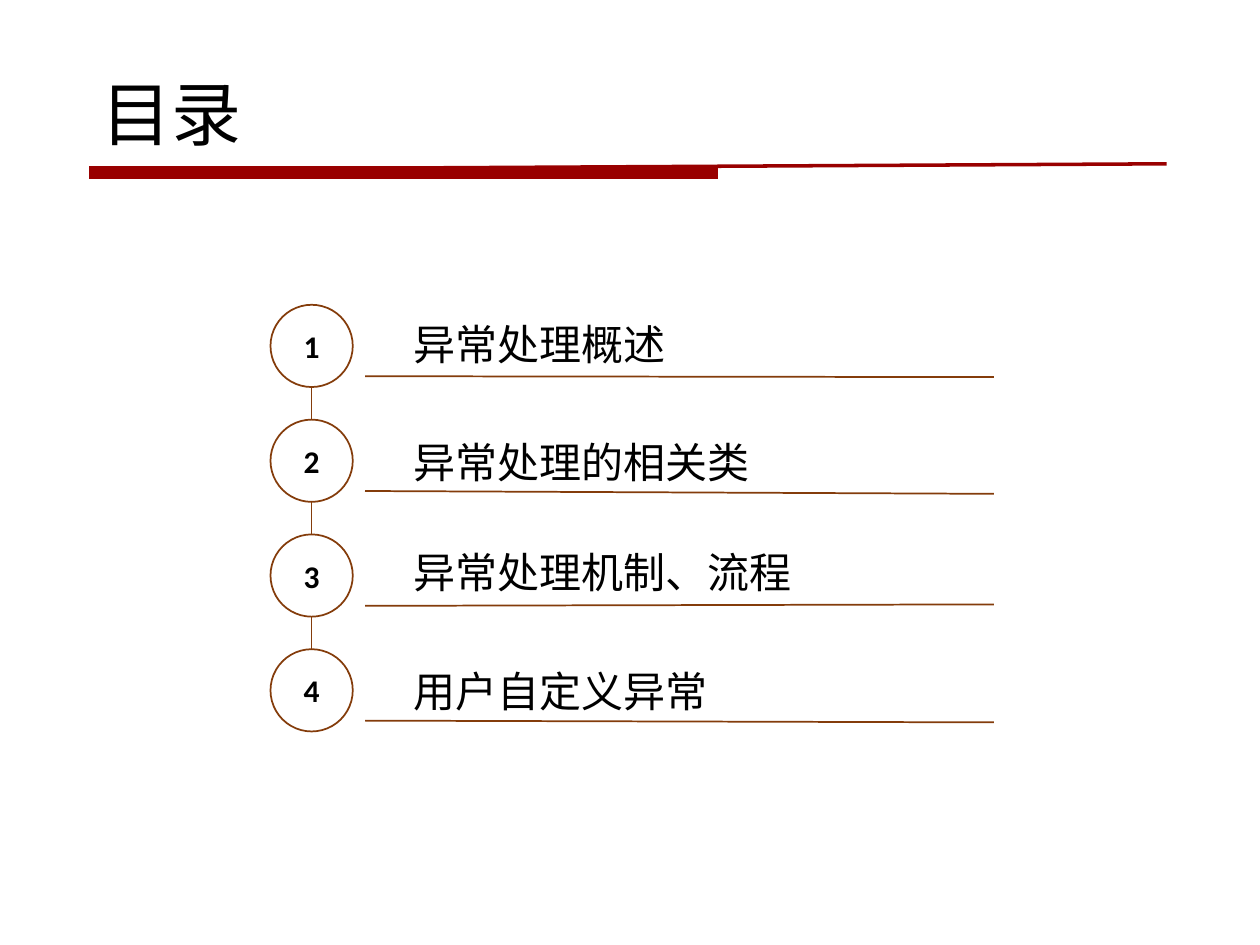
from lxml import etree
from pptx import Presentation
from pptx.dml.color import RGBColor
from pptx.enum.shapes import MSO_CONNECTOR, MSO_SHAPE
from pptx.enum.text import MSO_ANCHOR, MSO_AUTO_SIZE, PP_ALIGN
from pptx.oxml.ns import qn
from pptx.util import Pt

STRAIGHT = MSO_CONNECTOR.STRAIGHT
OVAL = MSO_SHAPE.OVAL
TOP, MIDDLE = MSO_ANCHOR.TOP, MSO_ANCHOR.MIDDLE
LEFT, CENTER = PP_ALIGN.LEFT, PP_ALIGN.CENTER
FIT_SHAPE = MSO_AUTO_SIZE.SHAPE_TO_FIT_TEXT

COLORS = {"red": "990000", "brown": "843C0B", "white": "FFFFFF", "black": "000000"}
TITLE_FONT, NUMBER_FONT, TOPIC_FONT = "DejaVu Sans Mono", "Calibri", "Noto Sans CJK SC"

ROW_TOP, ROW_PITCH, CIRCLE = 174.2, 65.6, 47
# Topic, top of its text box, right end height of its rule
TOPICS = [
    ("异常处理概述", 178.6, 215.5),
    ("异常处理的相关类", 246.2, 282.2),
    ("异常处理机制、流程", 308.9, 345.4),
    ("用户自定义异常", 376.6, 412.8),
]


def color(name):
    """Return the named colour."""
    return RGBColor.from_string(COLORS[name])


def set_text(tf, text, font, size, align=LEFT, bold=False):
    """Write one black paragraph with one font for Latin and Chinese."""
    tf.text = text
    p = tf.paragraphs[0]
    p.alignment = align
    p.font.size = Pt(size)
    p.font.bold = bold
    p.font.color.rgb = color("black")
    p.font.name = font
    props = p._p.pPr.find(qn("a:defRPr"))
    etree.SubElement(props, qn("a:ea")).set("typeface", font)


def add_line(s, x1, y1, x2, y2, name, width):
    """Draw a straight line without a shadow."""
    line = s.shapes.add_connector(STRAIGHT, Pt(x1), Pt(y1), Pt(x2), Pt(y2))
    line.line.color.rgb = color(name)
    line.line.width = Pt(width)
    etree.SubElement(line._element.spPr, qn("a:effectLst"))


def add_title(s, text):
    """Place and fill the title placeholder."""
    sp = s.shapes.title
    sp.left, sp.top, sp.width, sp.height = Pt(51), Pt(36.7), Pt(175.7), Pt(55.4)
    tf = sp.text_frame
    tf.word_wrap = True
    tf.auto_size = FIT_SHAPE
    tf.vertical_anchor = TOP
    set_text(tf, text, TITLE_FONT, 40)


def add_number(s, number, top):
    """Draw a numbered circle."""
    sp = s.shapes.add_shape(OVAL, Pt(154.6), Pt(top), Pt(CIRCLE), Pt(CIRCLE))
    sp.shadow.inherit = False
    sp.fill.solid()
    sp.fill.fore_color.rgb = color("white")
    sp.line.color.rgb = color("brown")
    sp.line.width = Pt(1)
    sp.text_frame.vertical_anchor = MIDDLE
    set_text(sp.text_frame, str(number), NUMBER_FONT, 18, CENTER, True)


def add_topic(s, text, top):
    """Add the text of one topic."""
    tf = s.shapes.add_textbox(Pt(229), Pt(top), Pt(339), Pt(36)).text_frame
    tf.word_wrap = True
    tf.auto_size = FIT_SHAPE
    set_text(tf, text, TOPIC_FONT, 24)


def main():
    """Build the contents slide."""
    prs = Presentation()
    prs.slide_width, prs.slide_height = Pt(720), Pt(540)
    s = prs.slides.add_slide(prs.slide_layouts[5])

    add_line(s, 51, 97, 666.6, 93.6, "red", 2)
    add_line(s, 51, 98.5, 410.4, 98.5, "red", 7.75)
    add_title(s, "目录")

    add_line(s, 178.1, ROW_TOP, 178.1, 417.6, "brown", 0.5)
    for i, (text, text_top, rule_end) in enumerate(TOPICS):
        top = ROW_TOP + i * ROW_PITCH
        add_number(s, i + 1, top)
        add_line(s, 208.6, top + 40.8, 567.9, rule_end, "brown", 1)
        add_topic(s, text, text_top)

    prs.save("out.pptx")


main()
